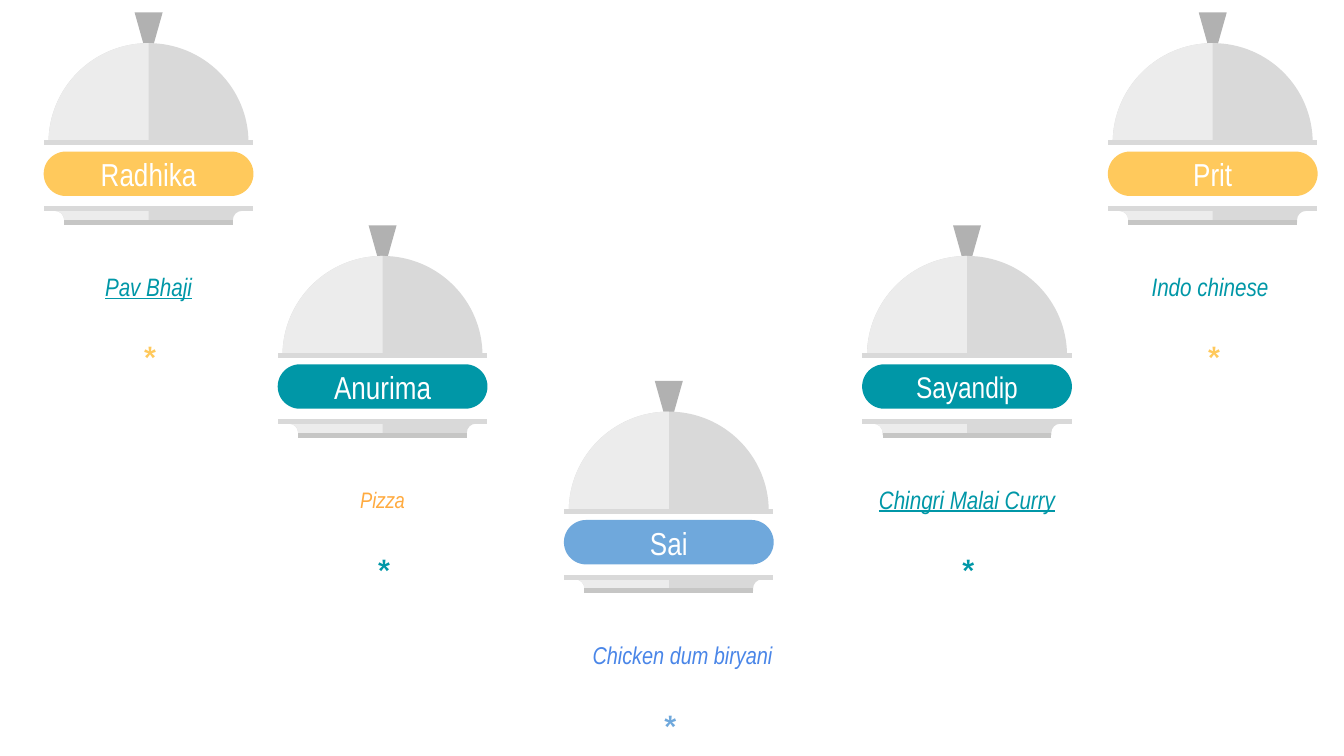
from lxml import etree
from pptx import Presentation
from pptx.dml.color import RGBColor
from pptx.enum.shapes import MSO_SHAPE
from pptx.enum.text import MSO_ANCHOR, PP_ALIGN
from pptx.oxml.ns import qn
from pptx.util import Pt

PILL = MSO_SHAPE.ROUNDED_RECTANGLE
TOP, MIDDLE = MSO_ANCHOR.TOP, MSO_ANCHOR.MIDDLE
CENTER = PP_ALIGN.CENTER

FONT, STAR_FONT = "Arial Narrow", "Karla"
DARK, LIGHT, FOOT, KNOB = "D9D9D9", "ECECEC", "C6C6C5", "B1B1B1"
WHITE, TEAL, GOLD, BLUE = "FFFFFF", "0097A7", "FFC95C", "6FA8DC"

# Middle x and top y of each cloche, then name, name size, main colour,
# dish, dish size, dish colour, underline, box width and box shift
GUESTS = [
    (204.95, 120.7, "Anurima", 17, TEAL, "Pizza", 12, "FFAB40", False, 125.3, 0),
    (79.6, 6.7, "Radhika", 17, GOLD, "Pav Bhaji", 13.5, TEAL, True, 125.3, 0),
    (649.7, 6.7, "Prit", 17, GOLD, "Indo chinese ", 13.5, TEAL, False, 125.3, 0),
    (358.3, 204.1, "Sai", 17, BLUE, "Chicken dum biryani", 13, "4A86E8", False,
     139.7, 7.3),
    (518.05, 120.7, "Sayandip", 16, TEAL, "Chingri Malai Curry", 13.5, TEAL, True,
     125.3, 0),
]

# Outlines from the middle of a cloche: a pair is a corner, and six numbers
# are a curve as two handles and an end
TRAY_LEFT = [(-50, 104.9), (-50, 106.3), (-47.3, 106.3, -45.2, 108.5, -45.2, 111.1),
             (-45.2, 112.4)]
TRAY_RIGHT = [(45.2, 112.4), (45.2, 111.1), (45.2, 108.5, 47.3, 106.3, 50, 106.3),
              (50, 104.9)]
DOME_LEFT = [(0, 16.4), (-29.6, 16.4, -53.6, 40.3, -53.6, 69.9)]
DOME_RIGHT = [(53.6, 69.9), (53.6, 40.3, 29.6, 16.4, 0, 16.4)]


def color(code):
    return RGBColor.from_string(code)


def paint(shape, code):
    shape.shadow.inherit = False
    shape.fill.solid()
    shape.fill.fore_color.rgb = color(code)
    shape.line.fill.background()


def bend(line, spots):
    """Turn a straight path segment into a curve through its handles."""
    line.tag = qn("a:cubicBezTo")
    for i, (x, y) in enumerate(spots):
        spot = etree.Element(qn("a:pt"), x=str(x), y=str(y))
        line.insert(i, spot)


def add_form(group, x, y, steps, code):
    """Closed outline with steps measured from (x, y)."""
    ends = [(Pt(x + step[-2]), Pt(y + step[-1])) for step in steps]
    build = group.shapes.build_freeform(*ends[0], scale=1.0)
    build.add_line_segments(ends[1:], close=True)
    form = build.convert_to_shape()
    lines = list(form._element.iter(qn("a:lnTo")))
    for line, step in zip(lines, steps[1:]):
        if len(step) == 6:
            spots = [(Pt(x + step[i]) - form.left, Pt(y + step[i + 1]) - form.top)
                     for i in (0, 2)]
            swap = etree.Element(qn("a:cubicBezTo"))
            for dx, dy in spots:
                etree.SubElement(swap, qn("a:pt"), x=str(dx), y=str(dy))
            swap.append(line[0])
            line.getparent().replace(line, swap)
    paint(form, code)


def add_bar(group, x, y, half, top, code):
    low = top + 2.7
    ends = [(-half, top), (-half, low), (half, low), (half, top)]
    add_form(group, x, y, ends, code)


def add_cloche(slide, x, y):
    group = slide.shapes.add_group_shape()

    # Tray with hollow corners, its left half lighter
    add_form(group, x, y, TRAY_LEFT + TRAY_RIGHT, DARK)
    add_form(group, x, y, TRAY_LEFT + [(0, 112.4), (0, 104.9)], LIGHT)
    add_bar(group, x, y, 56.1, 103.7, DARK)
    add_bar(group, x, y, 45.2, 111.1, FOOT)

    # Knob and dome, again with a lighter left half
    add_form(group, x, y, [(-7.5, 0), (-2.1, 19.2), (2.1, 19.2), (7.5, 0)], KNOB)
    add_form(group, x, y, DOME_LEFT + DOME_RIGHT, DARK)
    add_form(group, x, y, DOME_LEFT + [(0, 69.9)], LIGHT)
    add_bar(group, x, y, 56.1, 68.4, DARK)


def add_pill(slide, x, y, code):
    pill = slide.shapes.add_shape(PILL, Pt(x - 56.2), Pt(y), Pt(112.4), Pt(23.8))
    pill.adjustments[0] = 0.5
    paint(pill, code)


def mark(run, code):
    """Highlight behind a run, placed right after its fill."""
    glow = etree.Element(qn("a:highlight"))
    etree.SubElement(glow, qn("a:srgbClr"), val=code)
    run._r.rPr.find(qn("a:solidFill")).addnext(glow)


def add_text(slide, x, y, width, height, text, size, code, face=FONT,
             anchor=MIDDLE, bold=False, italic=False, under=False):
    """Text box centred on x, with its top at y."""
    box = slide.shapes.add_textbox(Pt(x - width / 2), Pt(y), Pt(width), Pt(height))
    frame = box.text_frame
    frame.word_wrap = True
    frame.vertical_anchor = anchor
    frame.margin_left = frame.margin_right = Pt(7.2)
    frame.margin_top = frame.margin_bottom = Pt(7.2)
    para = frame.paragraphs[0]
    para.alignment = CENTER
    run = para.add_run()
    run.text = text
    font = run.font
    font.name, font.size = face, Pt(size)
    font.bold, font.italic, font.underline = bold, italic, under
    font.color.rgb = color(code)
    if under:
        mark(run, WHITE)


def main():
    deck = Presentation()
    deck.slide_width, deck.slide_height = Pt(720), Pt(405)
    slide = deck.slides.add_slide(deck.slide_layouts[6])

    for x, y, name, size, main_hue, dish, small, hue, under, width, shift in GUESTS:
        add_cloche(slide, x, y)
        # Name on its pill
        add_pill(slide, x, y + 74.5, main_hue)
        add_text(slide, x, y + 76, 71.3, 21, name, size, WHITE)
        # Dish and star below
        add_text(slide, x + shift, y + 127, width, 39.6, dish, small, hue,
                 italic=True, under=under)
        add_text(slide, x, y + 166.4, 20.9, 20.9, "*", 20, main_hue,
                 face=STAR_FONT, anchor=TOP, bold=True)

    deck.save("out.pptx")


if __name__ == "__main__":
    main()
